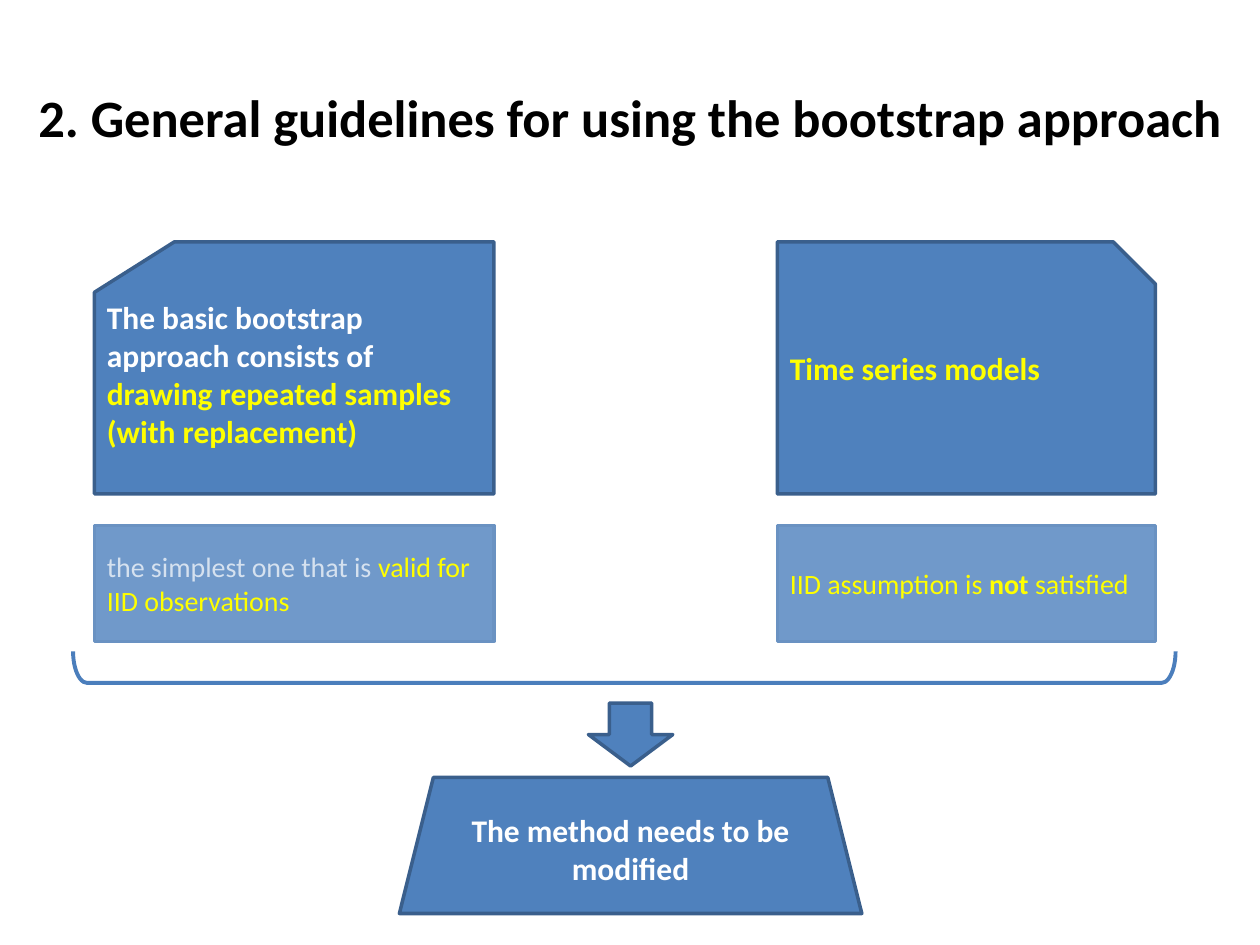
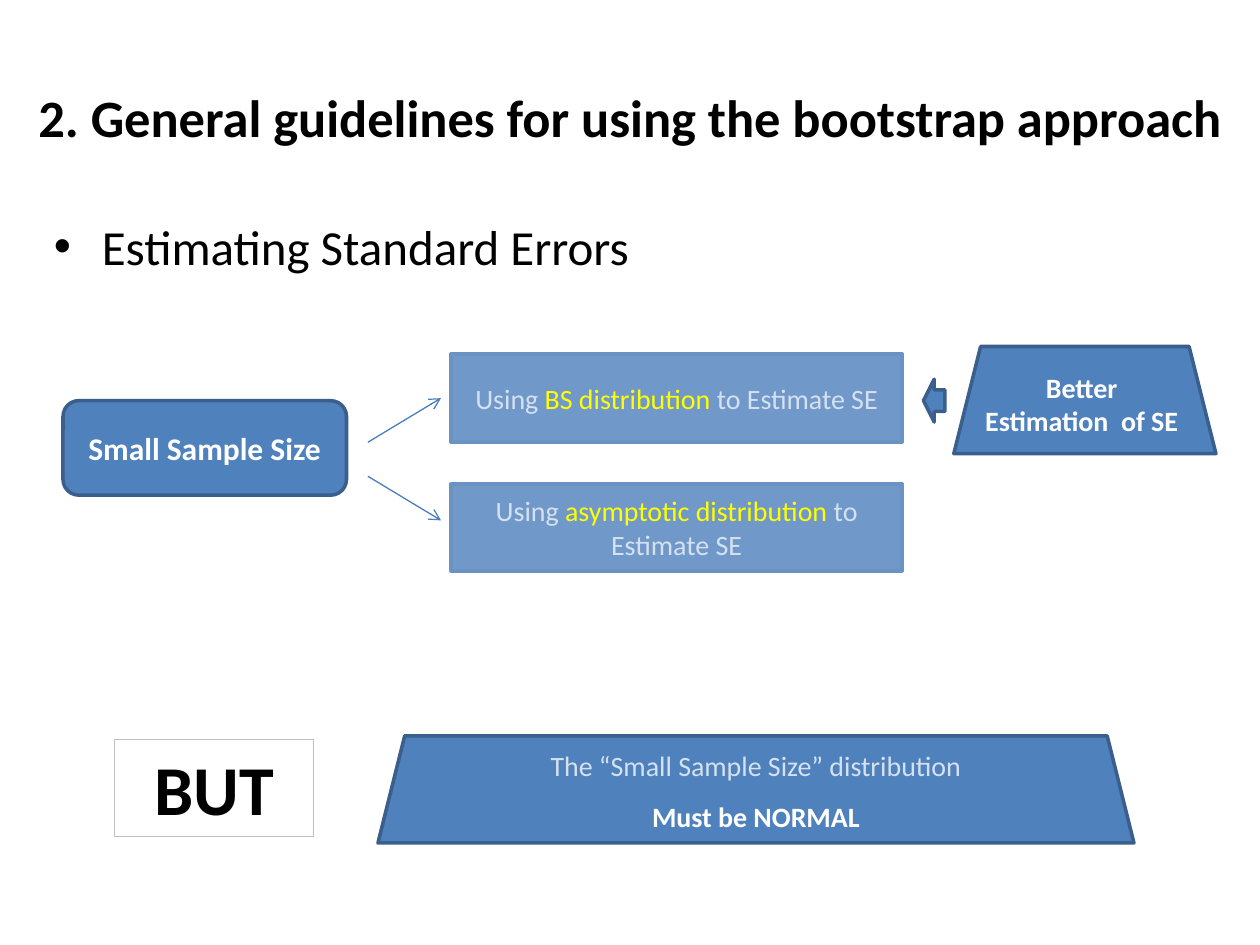
import pptx
import pptx.util
import pptx.dml.color
import pptx.enum.shapes
import pptx.enum.text
import pptx.oxml.ns
import lxml.etree

RGBColor = pptx.dml.color.RGBColor
SHAPE = pptx.enum.shapes.MSO_SHAPE
ALIGN = pptx.enum.text.PP_ALIGN
ANCHOR = pptx.enum.text.MSO_ANCHOR
qn = pptx.oxml.ns.qn

PX = 9144  # EMU per px, 100 px to the inch
FONT = "Calibri"
BLACK = RGBColor(0x00, 0x00, 0x00)
WHITE = RGBColor(0xFF, 0xFF, 0xFF)
YELLOW = RGBColor(0xFF, 0xFF, 0x00)
BLUE = RGBColor(0x4F, 0x81, 0xBD)
BLUE_EDGE = RGBColor(0x3A, 0x5F, 0x8C)
PALE = RGBColor(0x70, 0x99, 0xCA)
PALE_EDGE = RGBColor(0x6A, 0x92, 0xC2)
PALE_TEXT = RGBColor(0xD5, 0xE1, 0xEF)
STROKE = RGBColor(0x4B, 0x7E, 0xBC)
GREY = RGBColor(0xBF, 0xBF, 0xBF)
TITLE = "2. General guidelines for using the bootstrap approach"


def write(box, paragraphs, size, align=ALIGN.CENTER, anchor=ANCHOR.MIDDLE):
    """Fill a box with paragraphs of (text, colour, bold) pieces."""
    frame = box.text_frame
    frame.word_wrap = True
    frame.vertical_anchor = anchor
    for number, pieces in enumerate(paragraphs):
        paragraph = frame.add_paragraph() if number else frame.paragraphs[0]
        paragraph.alignment = align
        for text, colour, bold in pieces:
            for line_number, line in enumerate(text.split("\n")):
                if line_number:
                    paragraph.add_line_break()
                run = paragraph.add_run()
                run.text = line
                run.font.name = FONT
                run.font.size = pptx.util.Pt(size)
                run.font.bold = bold
                run.font.color.rgb = colour


def draw(slide, kind, at, fill=BLUE, edge=BLUE_EDGE, weight=2):
    """Add a preset shape at (left, top, width, height) px."""
    shape = slide.shapes.add_shape(kind, *[length * PX for length in at])
    shape.shadow.inherit = False
    if fill is None:
        shape.fill.background()
    else:
        shape.fill.solid()
        shape.fill.fore_color.rgb = fill
    shape.line.color.rgb = edge
    shape.line.width = pptx.util.Pt(weight)
    return shape


deck = pptx.Presentation()
deck.slide_width = 1000 * PX
deck.slide_height = 750 * PX

# Both slides carry the same title
slides = []
for _ in range(2):
    slide = deck.slides.add_slide(deck.slide_layouts[6])
    heading = slide.shapes.add_textbox(17 * PX, 30 * PX, 967 * PX, 125 * PX)
    write(heading, [[(TITLE, BLACK, True)]], 30)
    slides.append(slide)
method_slide, errors_slide = slides

# Slide 1: basic approach against time series, each with its assumption
basic = draw(method_slide, SHAPE.FLOWCHART_CARD, (75, 192, 317, 200))
write(basic, [[("The basic bootstrap approach consists of ", WHITE, True),
               ("drawing repeated samples (with replacement)", YELLOW, True)]],
      18, ALIGN.LEFT, ANCHOR.TOP)

time_series = draw(method_slide, SHAPE.SNIP_ROUND_RECTANGLE, (617, 192, 300, 200))
time_series.adjustments[0] = 0
time_series.adjustments[1] = 0.167
write(time_series, [[("Time series models", YELLOW, True)]], 18, ALIGN.LEFT)

assumptions = [
    (75, 317, [("the simplest one that is ", PALE_TEXT, False),
               ("valid for IID observations", YELLOW, False)]),
    (617, 300, [("IID assumption is ", YELLOW, False), ("not", YELLOW, True),
                (" satisfied", YELLOW, False)]),
]
for left, width, pieces in assumptions:
    assumption = draw(method_slide, SHAPE.FLOWCHART_PROCESS, (left, 417, width, 92),
                      PALE, PALE_EDGE)
    write(assumption, [pieces], 16, ALIGN.LEFT)

# Slide 1: bracket and arrow to the conclusion
conclusion = draw(method_slide, SHAPE.TRAPEZOID, (317, 617, 367, 108))
write(conclusion, [[("The method needs to be modified", WHITE, True)]], 18)
draw(method_slide, SHAPE.DOWN_ARROW, (467, 558, 67, 50))
bracket = draw(method_slide, SHAPE.RIGHT_BRACKET, (483, 92, 25, 875), None, STROKE, 2.25)
bracket.adjustments[0] = 0.447
bracket.rotation = 90

# Slide 2: topic with bullet
topic = errors_slide.shapes.add_textbox(33 * PX, 167 * PX, 900 * PX, 67 * PX)
write(topic, [[("Estimating Standard Errors", BLACK, False)]], 28, ALIGN.LEFT, ANCHOR.TOP)
bullet_format = topic.text_frame.paragraphs[0]._p.get_or_add_pPr()
bullet_format.set("marL", str(38 * PX))
bullet_format.set("indent", str(-38 * PX))
lxml.etree.SubElement(bullet_format, qn("a:buFont")).set("typeface", "Arial")
lxml.etree.SubElement(bullet_format, qn("a:buChar")).set("char", "•")

# Slide 2: small sample leads to two ways of estimating
sample = draw(errors_slide, SHAPE.ROUNDED_RECTANGLE, (50, 318, 225, 75))
write(sample, [[("Small Sample Size", WHITE, True)]], 18)

branches = [
    ("BS distribution", 281, 70, 351, 316),
    ("asymptotic distribution", 384, 69, 378, 413),
]
for distribution, top, height, arrow_start, arrow_end in branches:
    estimate = draw(errors_slide, SHAPE.FLOWCHART_PROCESS, (358, top, 358, height),
                    PALE, PALE_EDGE)
    write(estimate, [[("Using ", PALE_TEXT, False), (distribution, YELLOW, False),
                      (" to Estimate SE", PALE_TEXT, False)]], 16)
    arrow = errors_slide.shapes.add_connector(
        pptx.enum.shapes.MSO_CONNECTOR.STRAIGHT,
        292 * PX, arrow_start * PX, 350 * PX, arrow_end * PX)
    arrow.line.color.rgb = STROKE
    arrow.line.width = pptx.util.Pt(0.75)
    lxml.etree.SubElement(arrow.line._get_or_add_ln(), qn("a:tailEnd")).set("type", "arrow")
    lxml.etree.SubElement(arrow._element.spPr, qn("a:effectLst"))

better = draw(errors_slide, SHAPE.TRAPEZOID, (757, 275, 208, 85))
write(better, [[("Better \nEstimation  of SE ", WHITE, True)]], 16)
draw(errors_slide, SHAPE.LEFT_ARROW, (733, 301, 17, 34))

# Slide 2: the condition
but = draw(errors_slide, SHAPE.RECTANGLE, (91, 587, 158, 77), None, GREY, 0.75)
write(but, [[("BUT", BLACK, True)]], 40, anchor=ANCHOR.TOP)
condition = draw(errors_slide, SHAPE.TRAPEZOID, (300, 584, 600, 85))
write(condition, [[("The “Small Sample Size” distribution", PALE_TEXT, False)],
                  [("Must be NORMAL", WHITE, True)]], 16)
condition.text_frame.paragraphs[1].space_before = pptx.util.Pt(10)

deck.save("out.pptx")
